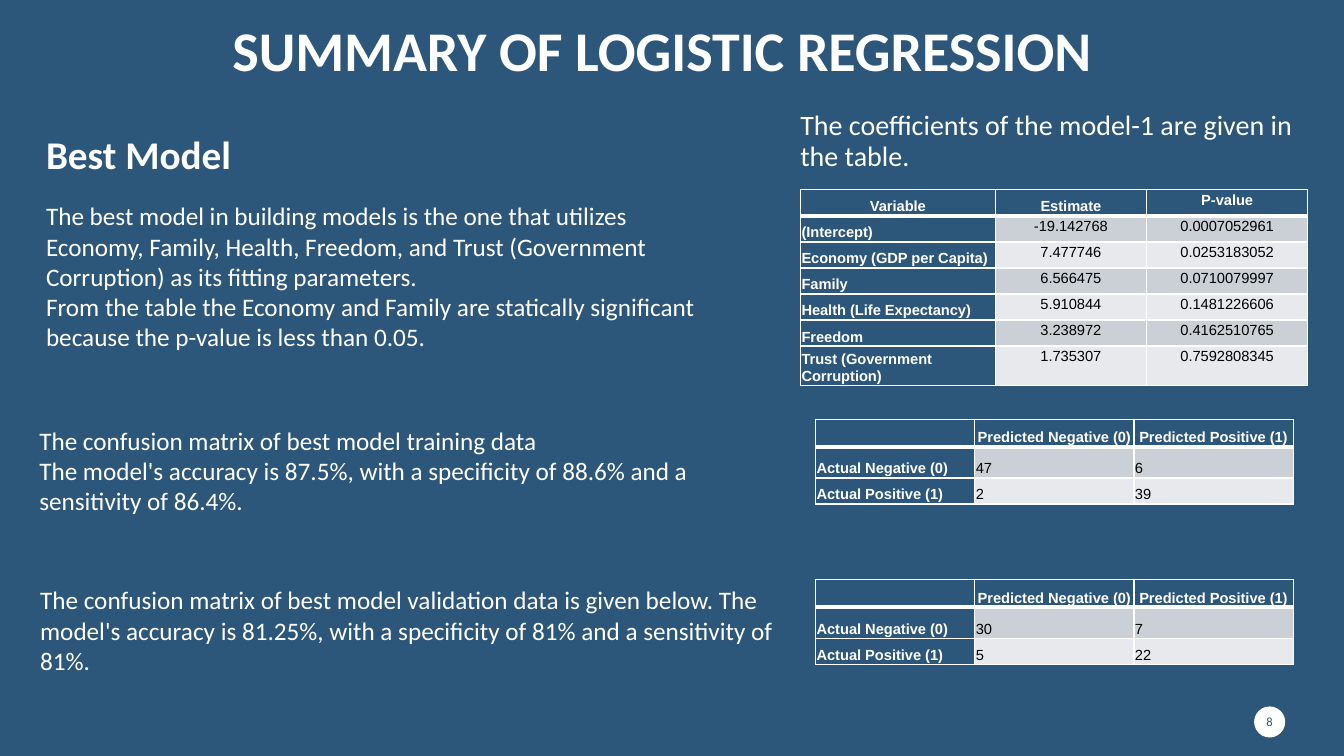
from lxml import etree
from pptx import Presentation
from pptx.dml.color import RGBColor
from pptx.enum.shapes import MSO_SHAPE
from pptx.enum.text import MSO_ANCHOR, MSO_AUTO_SIZE, PP_ALIGN
from pptx.oxml.ns import qn
from pptx.util import Inches, Pt

LEFT, CENTER = PP_ALIGN.LEFT, PP_ALIGN.CENTER
TOP, MIDDLE, BOTTOM = MSO_ANCHOR.TOP, MSO_ANCHOR.MIDDLE, MSO_ANCHOR.BOTTOM

NAVY = RGBColor(0x2C, 0x56, 0x7A)
WHITE = RGBColor(0xFF, 0xFF, 0xFF)
BLACK = RGBColor(0x00, 0x00, 0x00)
BANDS = [RGBColor(0xE7, 0xE9, 0xEC), RGBColor(0xCB, 0xD0, 0xD6)]

# The slide is a grid of 160 columns by 90 rows of square cells.
CELL = Inches(1 / 12)


def grid(*lengths):
    """Turn lengths in grid cells into EMU."""
    return [round(length * CELL) for length in lengths]


def write_text(frame, text, size=18, font="Calibri", color=WHITE, bold=False,
               align=LEFT, spacing=1.0):
    frame.word_wrap = True
    for index, line in enumerate(text.split("\n")):
        paragraph = frame.add_paragraph() if index else frame.paragraphs[0]
        paragraph.alignment = align
        paragraph.line_spacing = spacing
        if not line:
            etree.SubElement(paragraph._p, qn("a:endParaRPr"), sz=str(int(size * 100)))
            continue
        run = paragraph.add_run()
        run.text = line
        run.font.size = Pt(size)
        run.font.name = font
        run.font.bold = bold
        run.font.color.rgb = color


presentation = Presentation()
presentation.slide_width, presentation.slide_height = grid(160, 90)
slide = presentation.slides.add_slide(presentation.slide_layouts[5])
slide.background.fill.solid()
slide.background.fill.fore_color.rgb = NAVY

title = slide.shapes.title
title.left, title.top, title.width, title.height = grid(13.8, 2, 130, 8.6)
title.text_frame.auto_size = MSO_AUTO_SIZE.NONE
title.text_frame.vertical_anchor = BOTTOM
write_text(title.text_frame, "SUMMARY OF LOGISTIC REGRESSION", size=40, bold=True,
           align=CENTER, spacing=0.9)

text_blocks = [
    ((4.3, 15.5, 38.3, 7.1), "Best Model", {"size": 28, "bold": True, "spacing": 0.9}),
    ((4.3, 23.3, 80, 23),
     "The best model in building models is the one that utilizes Economy, Family, Health, "
     "Freedom, and Trust (Government Corruption) as its fitting parameters.\n"
     "From the table the Economy and Family are statically significant because the p-value "
     "is less than 0.05.", {}),
    ((94.1, 12.7, 62.9, 8.6), "The coefficients of the model-1 are given in the table.",
     {"size": 20, "spacing": 0.9}),
    ((3.5, 50, 81.8, 15.7),
     "The confusion matrix of best model training data\n"
     "The model's accuracy is 87.5%, with a specificity of 88.6% and a sensitivity of 86.4%.",
     {}),
    ((3.6, 69, 93.4, 12.1),
     "The confusion matrix of best model validation data is given below. The model's accuracy "
     "is 81.25%, with a specificity of 81% and a sensitivity of 81%.", {}),
]
for box, text, text_format in text_blocks:
    text_box = slide.shapes.add_textbox(*grid(*box))
    write_text(text_box.text_frame, text, **text_format)

coefficients = [
    ["Variable", "Estimate", "P-value"],
    ["(Intercept)", "-19.142768", "0.0007052961"],
    ["Economy (GDP per Capita)", "7.477746", "0.0253183052"],
    ["Family", "6.566475", "0.0710079997"],
    ["Health (Life Expectancy)", "5.910844", "0.1481226606"],
    ["Freedom", "3.238972", "0.4162510765"],
    ["Trust (Government Corruption)", "1.735307", "0.7592808345"],
]
confusion_header = ["", "Predicted Negative (0)", "Predicted Positive (1)"]
training = [confusion_header, ["Actual Negative (0)", "47", "6"],
            ["Actual Positive (1)", "2", "39"]]
validation = [confusion_header, ["Actual Negative (0)", "30", "7"],
              ["Actual Positive (1)", "5", "22"]]
confusion_columns, confusion_rows = [18.95] * 3, [3.3, 3.7, 3.1]

# Values, left, top, column widths, row heights, alignment and anchor of the numbers
tables = [
    (coefficients, 95.3, 22.6, [23.2, 18, 19.2], [3.1] * 7, CENTER, TOP),
    (training, 97.1, 49.9, confusion_columns, confusion_rows, LEFT, BOTTOM),
    (validation, 97.1, 69, confusion_columns, confusion_rows, LEFT, BOTTOM),
]
for values, left, top, widths, heights, number_align, number_anchor in tables:
    table = slide.shapes.add_table(
        len(values), len(widths), *grid(left, top, sum(widths), sum(heights))).table
    table.horz_banding = False
    for column, width in zip(table.columns, grid(*widths)):
        column.width = width
    for row, height in zip(table.rows, grid(*heights)):
        row.height = height
    for row_index, row_values in enumerate(values):
        for column_index, value in enumerate(row_values):
            cell = table.cell(row_index, column_index)
            is_header = row_index == 0
            is_label = is_header or column_index == 0
            cell.margin_left = cell.margin_right = Inches(0.01)
            cell.margin_top = cell.margin_bottom = Inches(0.01)
            cell.vertical_anchor = BOTTOM if is_label else number_anchor
            if value == "P-value":
                cell.vertical_anchor = TOP
            write_text(cell.text_frame, value, size=10.5, font="Arial", bold=is_label,
                       color=WHITE if is_label else BLACK, spacing=1.07,
                       align=CENTER if is_header else LEFT if is_label else number_align)
            properties = cell._tc.get_or_add_tcPr()
            for side in ("L", "R", "T", "B"):
                thick = (side, row_index) in (("B", 0), ("T", 1))
                border = etree.SubElement(properties, qn(f"a:ln{side}"),
                                          w=str(Pt(3 if thick else 1)))
                border_fill = etree.SubElement(border, qn("a:solidFill"))
                etree.SubElement(border_fill, qn("a:srgbClr"), val=str(WHITE))
            cell.fill.solid()
            cell.fill.fore_color.rgb = NAVY if is_label else BANDS[row_index % 2]

badge = slide.shapes.add_shape(MSO_SHAPE.OVAL, *grid(149.3, 84.1, 3.7, 3.7))
badge.shadow.inherit = False
badge.fill.solid()
badge.fill.fore_color.rgb = WHITE
badge.line.fill.background()
badge_frame = badge.text_frame
badge_frame.margin_left = badge_frame.margin_right = 0
badge_frame.margin_top = badge_frame.margin_bottom = 0
badge_frame.vertical_anchor = MIDDLE
write_text(badge_frame, "8", size=9, color=NAVY, align=CENTER)

presentation.save("out.pptx")
